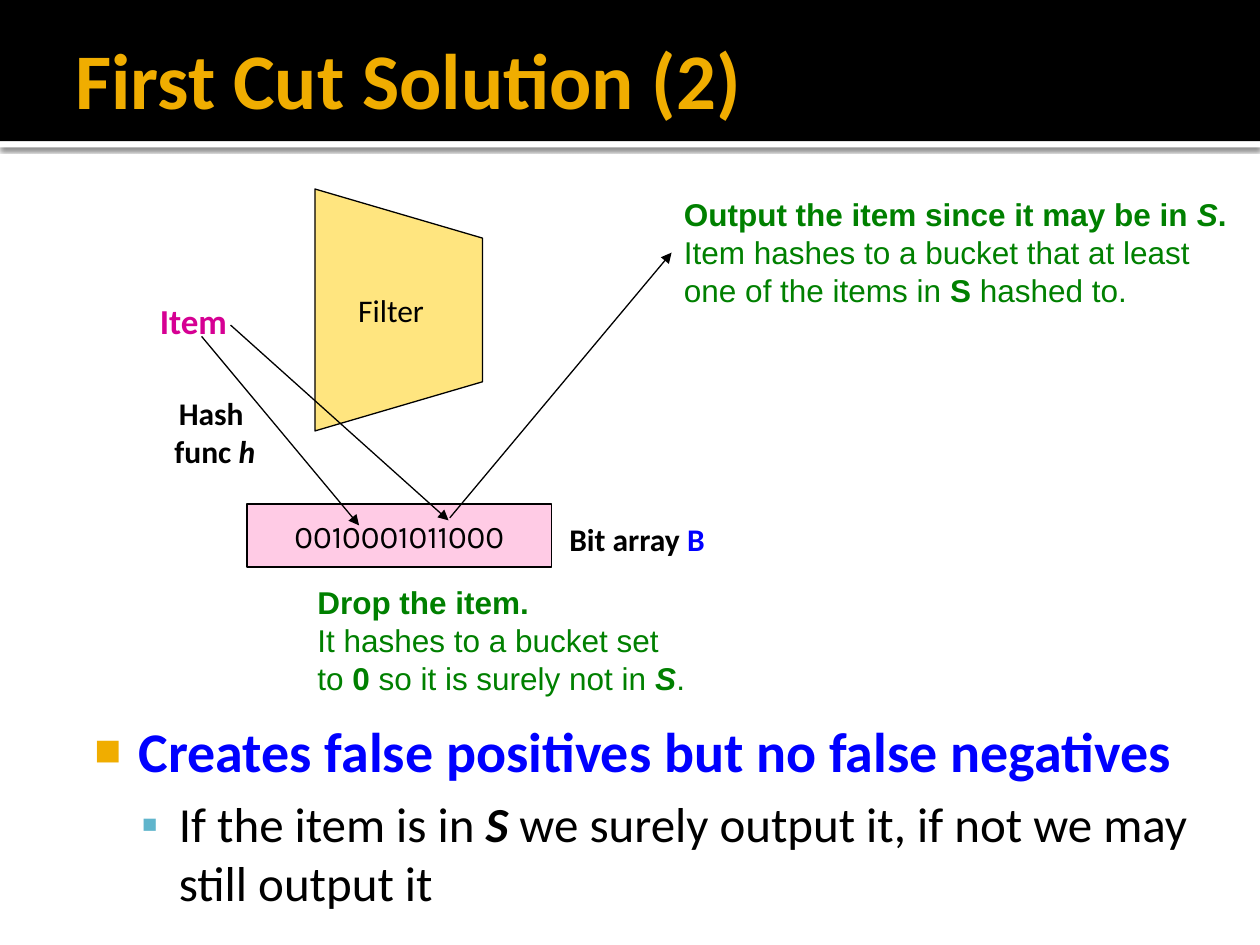
from lxml.etree import SubElement
from pptx import Presentation
from pptx.dml.color import RGBColor
from pptx.enum.shapes import MSO_CONNECTOR, MSO_SHAPE
from pptx.enum.text import MSO_ANCHOR, PP_ALIGN
from pptx.oxml.ns import qn
from pptx.util import Inches, Pt

COLORS = {
    "black": "000000", "white": "FFFFFF", "gold": "F0AD00", "blue": "0000FF",
    "teal": "60B5CC", "yellow": "FFCC00", "pink": "FF99CC",
    "magenta": "D60093", "green": "008000",
}
BOLD = {"bold": True}
ITALIC = {"italic": True}
BOLD_ITALIC = {"bold": True, "italic": True}
LABEL = {"name": "Calibri", "size": Pt(18), "color": "black"}
BOLD_LABEL = {**LABEL, **BOLD}
OUTCOME = {"name": "Arial", "size": Pt(18), "color": "green"}


def rgb(name):
    return RGBColor.from_string(COLORS[name])


def add_effects(shape):
    """Add an effect list, which when empty removes the theme shadow."""
    return SubElement(shape._element.spPr, qn("a:effectLst"))


def write_run(paragraph, text, values):
    font = paragraph.add_run().font
    paragraph.runs[-1].text = text
    for attribute, value in values.items():
        if attribute == "color":
            font.color.rgb = rgb(value)
        else:
            setattr(font, attribute, value)


def write_text(shape, paragraphs, values, wrap=False, align=PP_ALIGN.LEFT,
               anchor=MSO_ANCHOR.TOP, **margins):
    """Write paragraphs, each a list of (text, overrides) runs; "\\n" breaks a line."""
    frame = shape.text_frame
    frame.word_wrap = wrap
    frame.vertical_anchor = anchor
    for name, inches in margins.items():
        setattr(frame, f"margin_{name}", Inches(inches))
    for index, runs in enumerate(paragraphs):
        paragraph = frame.add_paragraph() if index else frame.paragraphs[0]
        paragraph.alignment = align
        for text, overrides in runs:
            if text == "\n":
                paragraph.add_line_break()
            else:
                write_run(paragraph, text, {**values, **overrides})
    return frame


def add_text(slide, box, paragraphs, values, **options):
    shape = slide.shapes.add_textbox(*map(Inches, box))
    write_text(shape, paragraphs, values, **options)
    return shape


def style_shape(shape, fill, line=None, opacity=None):
    shape.fill.solid()
    shape.fill.fore_color.rgb = rgb(fill)
    if opacity:
        color = shape._element.spPr.find(qn("a:solidFill"))[0]
        SubElement(color, qn("a:alpha"), val=str(opacity * 1000))
    if line:
        shape.line.color.rgb = rgb(line)
        shape.line.width = Pt(0.75)
    else:
        shape.line.fill.background()


def add_rectangle(slide, box, fill, **style):
    shape = slide.shapes.add_shape(MSO_SHAPE.RECTANGLE, *map(Inches, box))
    style_shape(shape, fill, **style)
    return shape


def add_trapezoid(slide, points, fill, **style):
    start, *others = [tuple(map(Inches, point)) for point in points]
    builder = slide.shapes.build_freeform(*start)
    builder.add_line_segments(others, close=True)
    shape = builder.convert_to_shape()
    style_shape(shape, fill, **style)
    shape.shadow.inherit = False
    return shape


def add_arrow(slide, start, end):
    arrow = slide.shapes.add_connector(
        MSO_CONNECTOR.STRAIGHT, *map(Inches, (*start, *end)))
    arrow.line.color.rgb = rgb("black")
    arrow.line.width = Pt(0.75)
    SubElement(arrow.line._get_or_add_ln(), qn("a:tailEnd"), type="triangle")
    add_effects(arrow)
    return arrow


def add_bullet(paragraph, symbol, color, left, indent, size=100):
    properties = paragraph._p.get_or_add_pPr()
    properties.set("marL", str(Inches(left)))
    properties.set("indent", str(Inches(indent)))
    bullet_color = SubElement(properties, qn("a:buClr"))
    SubElement(bullet_color, qn("a:srgbClr"), val=COLORS[color])
    SubElement(properties, qn("a:buSzPct"), val=str(size * 1000))
    SubElement(properties, qn("a:buFont"), typeface="Arial")
    SubElement(properties, qn("a:buChar"), char=symbol)


def add_header(slide):
    strip = add_rectangle(slide, (0, 1.12, 10, 0.05), "white")
    shadow = SubElement(add_effects(strip), qn("a:outerShdw"), blurRad=str(Pt(2.5)),
                        dist=str(Pt(0.8)), dir=str(90 * 60000))
    shadow_color = SubElement(shadow, qn("a:srgbClr"), val=COLORS["black"])
    SubElement(shadow_color, qn("a:alpha"), val="60000")
    band = add_rectangle(slide, (0, 0, 10, 1.12), "black")
    band.shadow.inherit = False
    add_text(slide, (0.5, 0.08, 9, 1.08), [[("First Cut Solution (2)", BOLD)]],
             {"name": "Calibri", "size": Pt(45), "color": "gold"},
             wrap=True, anchor=MSO_ANCHOR.MIDDLE, right=0.05)


def add_conclusion(slide):
    body = add_text(
        slide, (0.56, 5.59, 9.16, 1.74),
        [[("Creates false positives but no false negatives",
           {"size": Pt(32), "color": "blue", "bold": True})],
         [("If the item is in ", {}), ("S", BOLD_ITALIC),
          (" we surely output it, if not we may still output it", {})]],
        {"name": "Calibri", "size": Pt(28), "color": "black"},
        wrap=True, left=0.06, top=0.1)
    claim, detail = body.text_frame.paragraphs
    detail.level = 1
    detail.space_before = Pt(5.6)
    add_bullet(claim, "■", "gold", 0.48, -0.35, size=80)
    add_bullet(detail, "▪", "teal", 0.8, -0.3)


def add_diagram(slide):
    centered = {"align": PP_ALIGN.CENTER, "anchor": MSO_ANCHOR.MIDDLE}

    # Filter and bit array
    trapezoid = add_trapezoid(
        slide, [(2.5, 3.42), (3.83, 3.03), (3.83, 1.89), (2.5, 1.5)],
        "yellow", line="black", opacity=50)
    write_text(trapezoid, [[("Filter", {})]], LABEL, right=0.22, **centered)
    bits = add_rectangle(slide, (1.96, 4, 2.42, 0.5), "pink", line="black", opacity=50)
    bits.shadow.inherit = False
    write_text(bits, [[("0010001011000", {})]], {**LABEL, "name": "Karla"}, **centered)

    # Labels
    add_text(slide, (1.17, 2.33, 0.77, 0.44), [[("Item", {})]],
             {**BOLD_LABEL, "size": Pt(20), "color": "magenta"})
    add_text(slide, (1.24, 3.08, 0.93, 0.71),
             [[("Hash ", {}), ("\n", {}), ("func ", {}), ("h", ITALIC)]],
             BOLD_LABEL, wrap=True, align=PP_ALIGN.CENTER)
    add_text(slide, (4.42, 4.08, 1.35, 0.4),
             [[("Bit array ", {}), ("B", {"color": "blue"})]], BOLD_LABEL)

    # Outcomes
    output = add_text(
        slide, (5.33, 1.5, 4.55, 1.01),
        [[("Output the item since it may be in ", BOLD), ("S", BOLD_ITALIC), (".", BOLD)],
         [("Item hashes to a bucket that at least ", {}), ("\n", {}),
          ("one of the items in ", {}), ("S", BOLD), (" hashed to.", {})]], OUTCOME)
    add_text(
        slide, (2.42, 4.58, 3.15, 1.01),
        [[("Drop the item.", BOLD)],
         [("It hashes to a bucket set ", {}), ("\n", {}), ("to ", {}), ("0", BOLD),
          (" so it is surely not in ", {}), ("S", BOLD_ITALIC), (".", {})]], OUTCOME)

    # Paths of the items
    add_arrow(slide, (1.83, 2.58), (3.56, 4.13))
    add_arrow(slide, (1.6, 2.67), (2.85, 4.17))
    add_arrow(slide, (3.57, 4.11), (5.33, 2.01)).end_connect(output, 1)


def main():
    presentation = Presentation()
    presentation.slide_width = Inches(10)
    presentation.slide_height = Inches(7.5)
    slide = presentation.slides.add_slide(presentation.slide_layouts[6])
    add_header(slide)
    add_conclusion(slide)
    add_diagram(slide)
    presentation.save("out.pptx")


if __name__ == "__main__":
    main()
